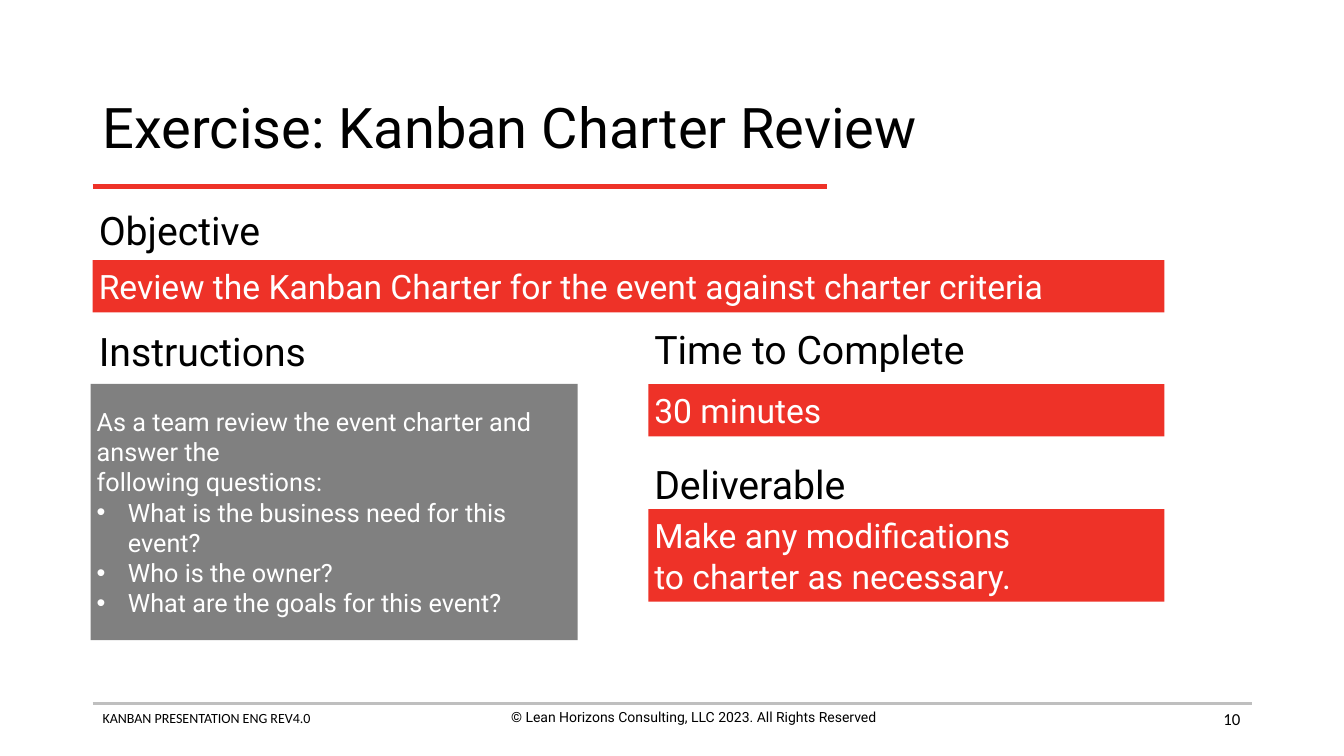
from lxml.etree import SubElement
from pptx import Presentation
from pptx.dml.color import RGBColor
from pptx.enum.shapes import MSO_CONNECTOR, MSO_SHAPE
from pptx.enum.text import MSO_ANCHOR, MSO_AUTO_SIZE, PP_ALIGN
from pptx.oxml.ns import qn
from pptx.util import Inches, Pt

COLORS = {
    "red": "EE3228",
    "gray": "808080",
    "rule": "BFBFBF",
    "black": "000000",
    "white": "FFFFFF",
}
LEFT = 0.92
RIGHT_COLUMN = 6.43
CARD_INSET = 0.06
BULLET_INDENT = 0.31


def rgb(name):
    return RGBColor.from_string(COLORS[name])


def style(paragraph, size, color, font="Roboto", align=PP_ALIGN.LEFT):
    paragraph.alignment = align
    paragraph.font.size = Pt(size)
    paragraph.font.name = font
    paragraph.font.color.rgb = rgb(color)


def set_insets(frame):
    frame.margin_left = frame.margin_right = Inches(CARD_INSET)
    frame.margin_top = frame.margin_bottom = Inches(CARD_INSET)


def add_bullet(paragraph):
    properties = paragraph._p.get_or_add_pPr()
    properties.set("marL", str(Inches(BULLET_INDENT)))
    properties.set("indent", str(-Inches(BULLET_INDENT)))
    SubElement(properties, qn("a:buFont"), typeface="Arial")
    SubElement(properties, qn("a:buChar"), char="•")


def add_rule(slide, y, end, color, width):
    rule = slide.shapes.add_connector(
        MSO_CONNECTOR.STRAIGHT, Inches(LEFT), Inches(y), Inches(end), Inches(y))
    rule.line.color.rgb = rgb(color)
    rule.line.width = Pt(width)
    SubElement(rule._element.spPr, qn("a:effectLst"))


def add_label(slide, text, box, size, font="Roboto", align=PP_ALIGN.LEFT):
    label = slide.shapes.add_textbox(*map(Inches, box))
    frame = label.text_frame
    frame.word_wrap = True
    frame.paragraphs[0].text = text
    style(frame.paragraphs[0], size, "black", font, align)
    return frame


def add_heading(slide, text, box):
    frame = add_label(slide, text, box, 28)
    set_insets(frame)
    frame.word_wrap = False
    frame.auto_size = MSO_AUTO_SIZE.SHAPE_TO_FIT_TEXT


def add_card(slide, text, box, fill="red", size=24, bullets=()):
    card = slide.shapes.add_shape(MSO_SHAPE.RECTANGLE, *map(Inches, box))
    card.shadow.inherit = False
    card.fill.solid()
    card.fill.fore_color.rgb = rgb(fill)
    card.line.fill.background()
    frame = card.text_frame
    frame.word_wrap = True
    frame.vertical_anchor = MSO_ANCHOR.MIDDLE
    set_insets(frame)
    frame.paragraphs[0].text = text
    for bullet in bullets:
        question = frame.add_paragraph()
        question.text = bullet
        add_bullet(question)
    for paragraph in frame.paragraphs:
        style(paragraph, size, "white")


def add_title(slide, text):
    title = slide.shapes.title
    title.left, title.top = Inches(LEFT), Inches(0.74)
    title.width, title.height = Inches(11.5), Inches(1.1)
    frame = title.text_frame
    frame.text = text
    frame.vertical_anchor = MSO_ANCHOR.MIDDLE
    frame.paragraphs[0].line_spacing = 0.9
    style(frame.paragraphs[0], 40, "black")


def add_footer(slide):
    add_rule(slide, 6.98, 12.42, "rule", 2)
    add_label(slide, "KANBAN PRESENTATION ENG REV4.0",
              (LEFT, 6.99, 4.56, 0.44), 10, "Calibri")
    add_label(slide, "© Lean Horizons Consulting, LLC 2023. All Rights Reserved",
              (4.6, 6.98, 4.56, 0.44), 10, align=PP_ALIGN.CENTER)
    page_number = add_label(slide, "10", (9.4, 6.93, 3, 0.4), 12,
                            "Calibri", PP_ALIGN.RIGHT)
    page_number.vertical_anchor = MSO_ANCHOR.MIDDLE


def main():
    presentation = Presentation()
    presentation.slide_width = Inches(13.33)
    presentation.slide_height = Inches(7.5)
    slide = presentation.slides.add_slide(presentation.slide_layouts[5])

    add_title(slide, "Exercise: Kanban Charter Review")
    add_rule(slide, 1.85, 8.2, "red", 3)
    add_footer(slide)

    add_heading(slide, "Objective", (LEFT, 1.99, 1.75, 0.58))
    add_card(slide, "Review the Kanban Charter for the event against charter criteria",
             (LEFT, 2.58, 10.63, 0.52))

    add_heading(slide, "Instructions", (LEFT, 3.19, 2.21, 0.58))
    add_card(slide,
             "As a team review the event charter and answer the\vfollowing questions:",
             (0.9, 3.81, 4.83, 2.54), "gray", 18,
             ("What is the business need for this event?",
              "Who is the owner?",
              "What are the goals for this event?"))

    add_heading(slide, "Time to Complete", (RIGHT_COLUMN, 3.17, 3.25, 0.58))
    add_card(slide, "30 minutes", (RIGHT_COLUMN, 3.81, 5.12, 0.52))

    add_heading(slide, "Deliverable", (RIGHT_COLUMN, 4.51, 2.07, 0.58))
    add_card(slide, "Make any modifications\vto charter as necessary.",
             (RIGHT_COLUMN, 5.05, 5.12, 0.92))

    presentation.save("out.pptx")


if __name__ == "__main__":
    main()
